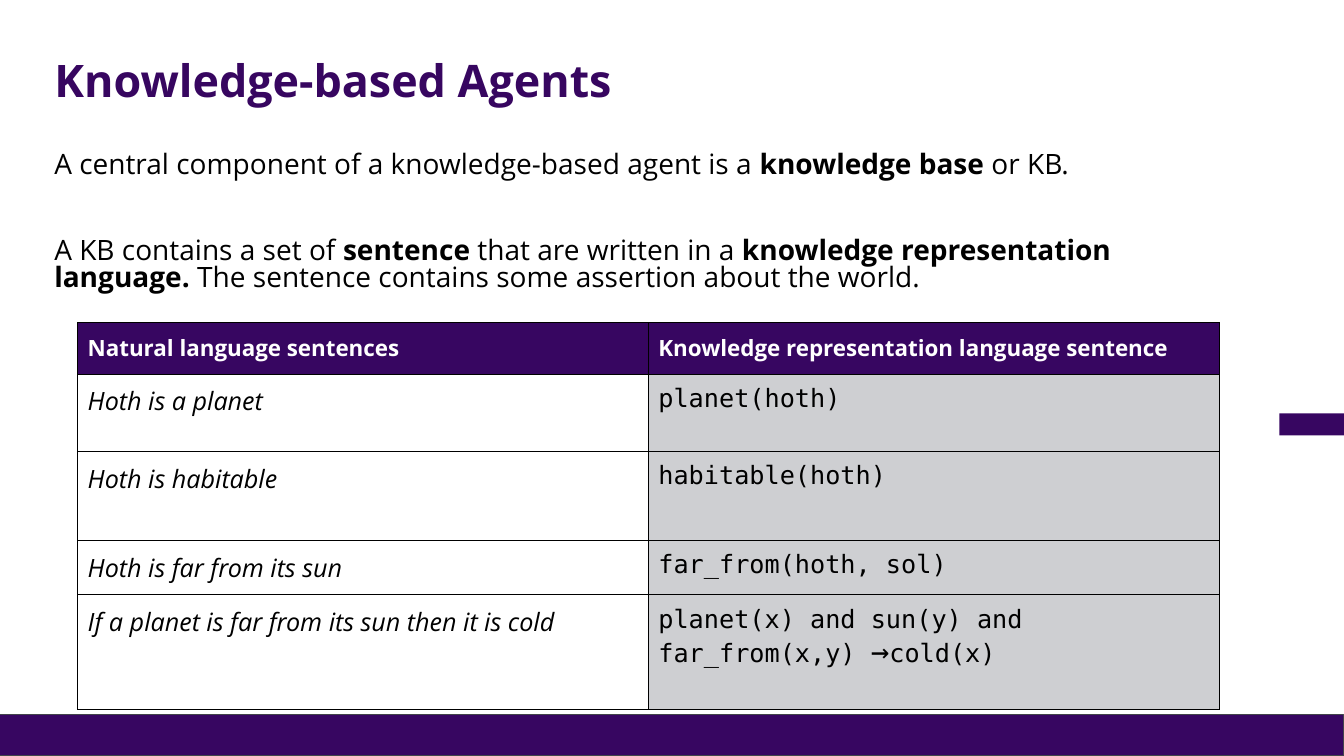
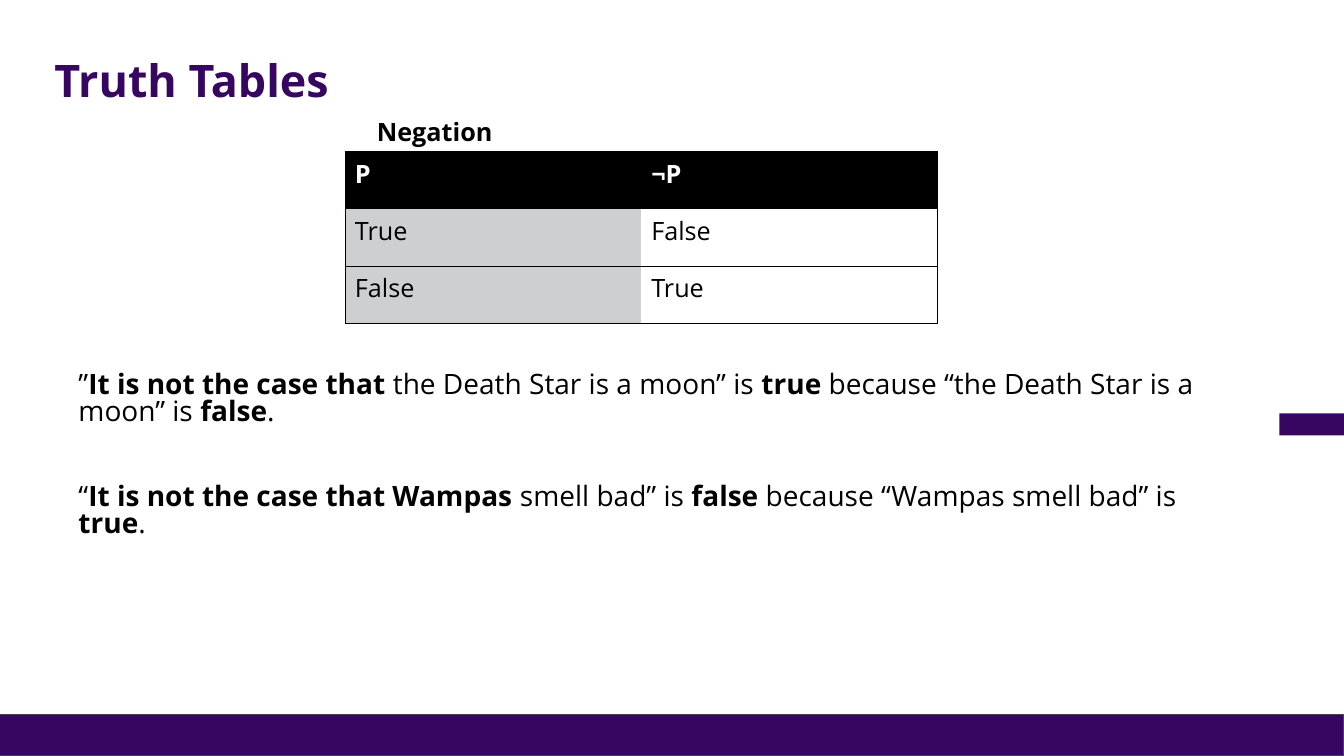
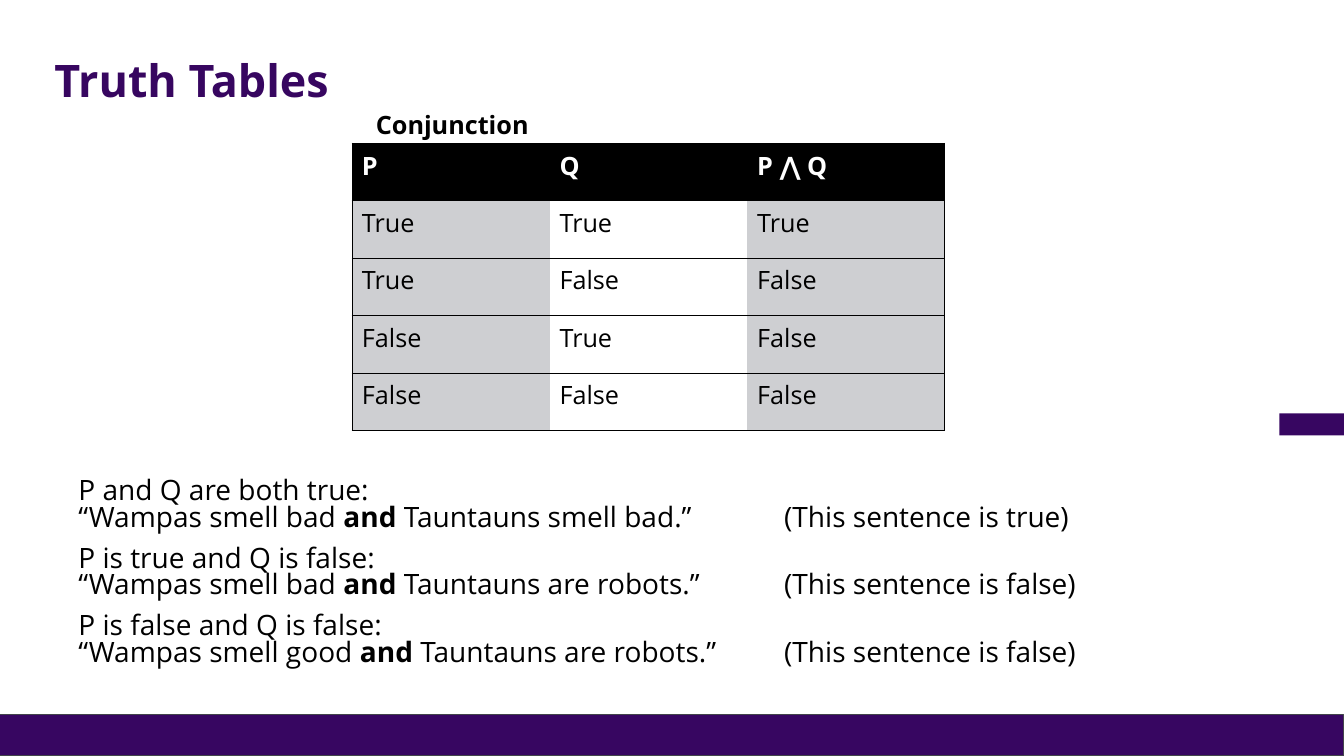
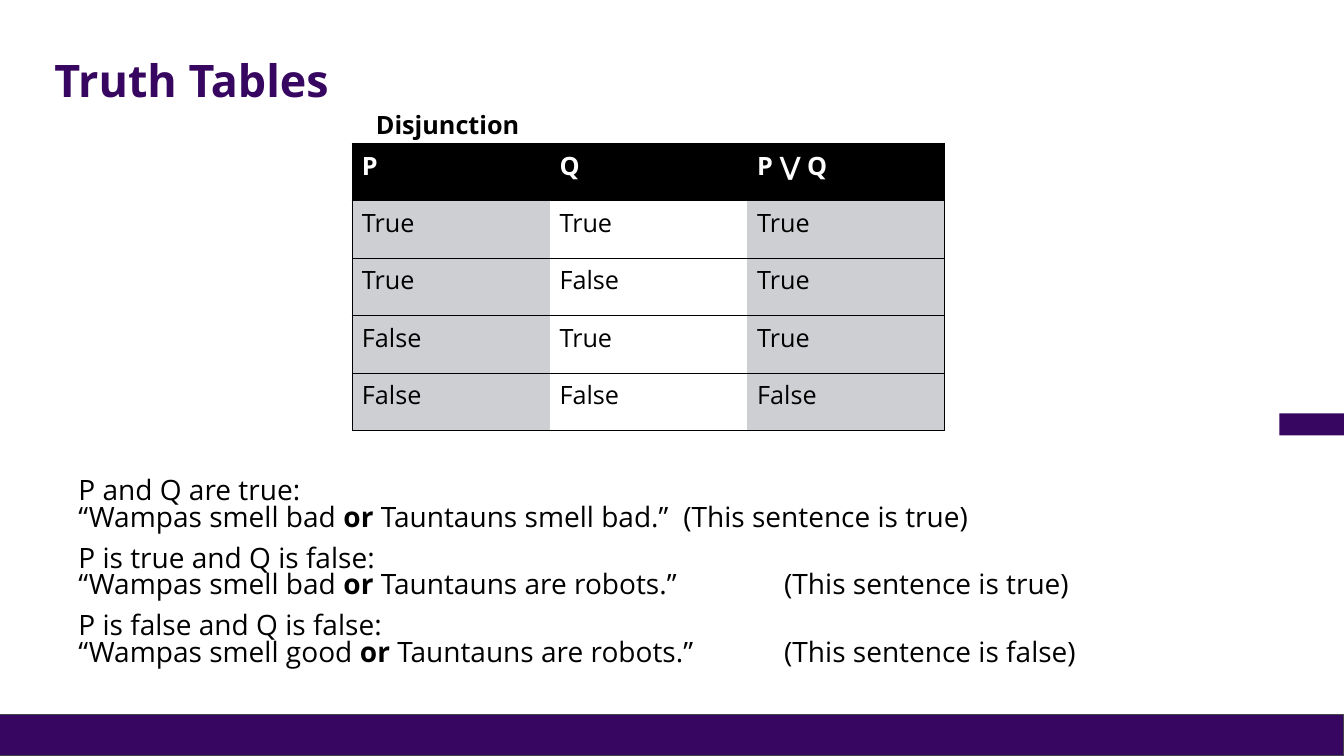
from lxml.etree import SubElement
from pptx import Presentation
from pptx.dml.color import RGBColor
from pptx.enum.shapes import MSO_SHAPE
from pptx.enum.text import MSO_ANCHOR, MSO_AUTO_SIZE
from pptx.oxml.ns import qn
from pptx.util import Inches, Pt

PURPLE = RGBColor(0x37, 0x06, 0x61)
TITLE_PURPLE = RGBColor(0x37, 0x06, 0x60)
SLATE = RGBColor(0x43, 0x45, 0x4B)
GREY = RGBColor(0xCE, 0xCF, 0xD2)
BLACK = RGBColor(0, 0, 0)
WHITE = RGBColor(255, 255, 255)
SANS, MONO = "Open Sans", "DejaVu Sans Mono"
PLAIN_TABLE_STYLE = "{2D5ABB26-0587-4C30-8999-92F81FD0307C}"

# Content: text between asterisks is bold
AGENT_TEXT = [
    "A central component of a knowledge-based agent is a *knowledge base* or KB.",
    "A KB contains a set of *sentence* that are written in a *knowledge representation "
    "language. *The sentence contains some assertion about the world.",
]
SENTENCE_HEADER = ["Natural language sentences", "Knowledge representation language sentence"]
SENTENCES = [  # natural language, formal language, row height
    ("Hoth is a planet", "planet(hoth)", 0.77),
    ("Hoth is habitable", "habitable(hoth)", 0.88),
    ("Hoth is far from its sun", "far_from(hoth, sol)", 0.54),
    ("If a planet is far from its sun then it is cold",
     "planet(x) and sun(y) and far_from(x,y) →cold(x)", 1.14),
]

T, F = "True", "False"
INPUTS = [(T, T), (T, F), (F, T), (F, F)]
TRUTH_SLIDES = [
    {
        "caption": "Negation", "caption_at": (3.64, 1.1, 1.36), "table_at": (3.42, 1.5),
        "rows": [("P", "¬P"), (T, F), (F, T)],
        "text_top": 3.65, "gap": 42, "tabs": [],
        "text": [
            "”*It is not the case that *the Death Star is a moon” is *true *because "
            "“the Death Star is a moon” is *false*.",
            "“*It is not the case that Wampas *smell bad” is *false *because "
            "“Wampas smell bad” is *true*.",
        ],
    },
    {
        "caption": "Conjunction", "caption_at": (3.63, 1.04, 1.74), "table_at": (3.49, 1.42),
        "rows": [("P", "Q", "P ⋀ Q")] + [(*pair, T if pair == (T, T) else F) for pair in INPUTS],
        "text_top": 4.7, "gap": 10, "tabs": [7, 7, 7],
        "text": [
            "P and Q are both true:\n“Wampas smell bad *and *Tauntauns smell bad.”"
            "\t(This sentence is true)",
            "P is true and Q is false:\n“Wampas smell bad *and *Tauntauns are robots.”"
            "\t(This sentence is false)",
            "P is false and Q is false:\n“Wampas smell good *and *Tauntauns are robots.”"
            "\t(This sentence is false)",
        ],
    },
    {
        "caption": "Disjunction", "caption_at": (3.63, 1.04, 1.64), "table_at": (3.49, 1.42),
        "rows": [("P", "Q", "P ⋁ Q")] + [(*pair, T if T in pair else F) for pair in INPUTS],
        "text_top": 4.7, "gap": 10, "tabs": [6, 7, 7],
        "text": [
            "P and Q are true:\n“Wampas smell bad *or *Tauntauns smell bad.”"
            "\t(This sentence is true)",
            "P is true and Q is false:\n“Wampas smell bad *or *Tauntauns are robots.”"
            "\t(This sentence is true)",
            "P is false and Q is false:\n“Wampas smell good *or *Tauntauns are robots.”"
            "\t(This sentence is false)",
        ],
    },
]

presentation = Presentation()
presentation.slide_width, presentation.slide_height = Inches(13.33), Inches(7.5)
layout = presentation.slide_layouts[5]


def add_run(paragraph, text, size, color=BLACK, bold=False, italic=False, font=SANS):
    run = paragraph.add_run()
    run.text = text
    run.font.name, run.font.size = font, Pt(size)
    run.font.bold, run.font.italic = bold, italic
    run.font.color.rgb = color


def add_slide(title):
    slide = presentation.slides.add_slide(layout)
    shape = slide.shapes.title
    shape.left, shape.top = Inches(0.44), Inches(0.4)
    shape.width, shape.height = Inches(11.98), Inches(0.84)
    shape.text_frame.vertical_anchor = MSO_ANCHOR.MIDDLE
    paragraph = shape.text_frame.paragraphs[0]
    paragraph.alignment = 1
    paragraph.line_spacing = 0.9
    add_run(paragraph, title, 32, TITLE_PURPLE, bold=True)
    return slide


def move_bands_to_layout(slide):
    """Draw the footer band and side tab once, for every slide of the layout."""
    for number, (box, line) in enumerate([((0, 7.09, 13.33, 0.41), SLATE),
                                          ((12.69, 4.1, 0.64, 0.22), None)]):
        shape = slide.shapes.add_shape(MSO_SHAPE.RECTANGLE, *map(Inches, box))
        shape.shadow.inherit = False
        shape.fill.solid()
        shape.fill.fore_color.rgb = PURPLE
        if line is None:
            shape.line.fill.background()
        else:
            shape.line.color.rgb = line
            shape.line.width = Pt(0.75)
        shape._element.nvSpPr.cNvPr.set("id", str(20 + number))
        layout.shapes._spTree.append(shape._element)


def add_body(slide, box, texts, gap, tabs=()):
    frame = slide.shapes.add_textbox(*map(Inches, box)).text_frame
    frame.word_wrap = True
    for index, text in enumerate(texts):
        paragraph = frame.add_paragraph() if index else frame.paragraphs[0]
        if tabs:
            tab_list = SubElement(paragraph._p.get_or_add_pPr(), qn("a:tabLst"))
            SubElement(tab_list, qn("a:tab"), pos=str(Inches(tabs[index])), algn="l")
        paragraph.line_spacing = 0.8
        if index:
            paragraph.space_before = Pt(gap)
        for part, piece in enumerate(text.split("*")):
            for line_number, line in enumerate(piece.split("\n")):
                if line_number:
                    paragraph.add_line_break()
                add_run(paragraph, line, 20, bold=part % 2 == 1)


def add_table(slide, left, top, widths, heights):
    table = slide.shapes.add_table(len(heights), len(widths), Inches(left), Inches(top),
                                   Inches(sum(widths)), Inches(sum(heights))).table
    table._tbl.tblPr.find(qn("a:tableStyleId")).text = PLAIN_TABLE_STYLE
    table.horz_banding = False
    for column, width in zip(table.columns, widths):
        column.width = Inches(width)
    for row, height in zip(table.rows, heights):
        row.height = Inches(height)
    return table


def style_cell(cell, fill, sides):
    """Rule the named sides in black, then fill the cell."""
    properties = cell._tc.get_or_add_tcPr()
    for side in sides:
        line = SubElement(properties, qn(f"a:ln{side}"), w=str(Pt(0.5)))
        solid = SubElement(line, qn("a:solidFill"))
        SubElement(solid, qn("a:srgbClr"), val=str(BLACK))
    cell.fill.solid()
    cell.fill.fore_color.rgb = fill


def add_sentence_table(slide):
    heights = [0.51] + [height for *_, height in SENTENCES]
    table = add_table(slide, 0.77, 3.2, [5.66, 5.66], heights)
    rows = [SENTENCE_HEADER] + [sentence[:2] for sentence in SENTENCES]
    for r, texts in enumerate(rows):
        for c, text in enumerate(texts):
            cell = table.cell(r, c)
            cell.margin_top = cell.margin_bottom = Inches(0.1)
            style_cell(cell, PURPLE if r == 0 else (WHITE, GREY)[c], "LRTB")
            paragraph = cell.text_frame.paragraphs[0]
            if r == 0:
                add_run(paragraph, text, 16, WHITE, bold=True)
            elif c == 0:
                add_run(paragraph, text, 18, italic=True)
            else:
                before, arrow, after = text.partition("→")
                for piece, size in ((before, 18), (arrow, 22), (after, 18)):
                    if piece:
                        add_run(paragraph, piece, size, font=MONO)


def add_truth_table(slide, left, top, rows):
    count = len(rows[0])
    table = add_table(slide, left, top, [5.88 / count] * count, [0.57] * len(rows))
    for r, texts in enumerate(rows):
        for c, text in enumerate(texts):
            sides = ("L" if c == 0 else "") + ("R" if c == count - 1 else "") + "TB"
            fill = BLACK if r == 0 else (GREY, WHITE)[c % 2]
            style_cell(table.cell(r, c), fill, sides)
            add_run(table.cell(r, c).text_frame.paragraphs[0], text, 18,
                    WHITE if r == 0 else BLACK, bold=r == 0)


def add_caption(slide, text, left, top, width):
    box = slide.shapes.add_textbox(Inches(left), Inches(top), Inches(width), Inches(0.4))
    box.text_frame.word_wrap = False
    box.text_frame.auto_size = MSO_AUTO_SIZE.SHAPE_TO_FIT_TEXT
    add_run(box.text_frame.paragraphs[0], text, 18, bold=True)


# Knowledge base slide
agents_slide = add_slide("Knowledge-based Agents")
move_bands_to_layout(agents_slide)
add_body(agents_slide, (0.44, 1.47, 11.5, 1.7), AGENT_TEXT, 42)
add_sentence_table(agents_slide)

# Truth table slides
for content in TRUTH_SLIDES:
    truth_slide = add_slide("Truth Tables")
    add_truth_table(truth_slide, *content["table_at"], content["rows"])
    add_caption(truth_slide, content["caption"], *content["caption_at"])
    text_top = content["text_top"]
    add_body(truth_slide, (0.68, text_top, 11.74, 6.92 - text_top), content["text"],
             content["gap"], content["tabs"])

presentation.save("out.pptx")
